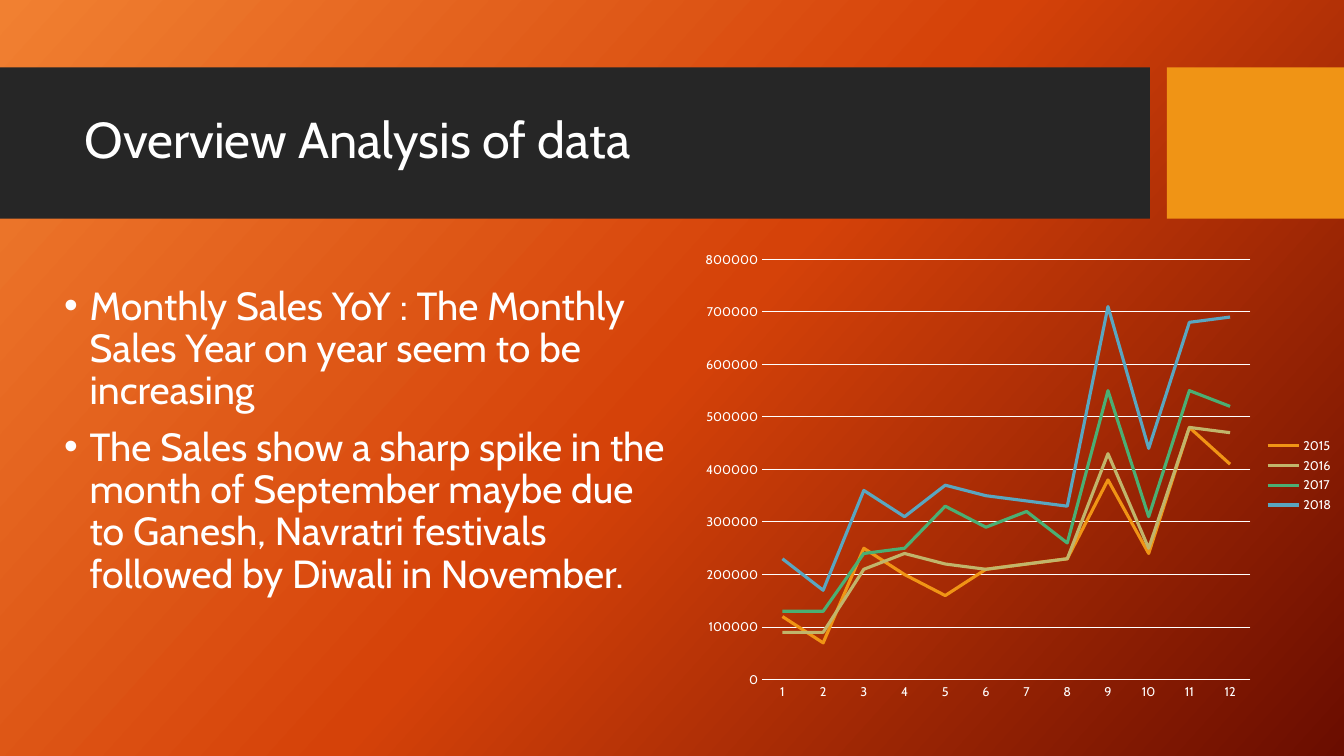
"""Build a slide on monthly sales with a title band, two bullets and a line chart."""
from copy import deepcopy

from lxml.etree import SubElement
from pptx import Presentation
from pptx.chart.data import CategoryChartData
from pptx.dml.color import RGBColor
from pptx.enum.chart import XL_CHART_TYPE, XL_LEGEND_POSITION, XL_MARKER_STYLE, XL_TICK_MARK
from pptx.enum.shapes import MSO_SHAPE
from pptx.enum.text import MSO_ANCHOR
from pptx.oxml.ns import qn
from pptx.util import Cm, Pt

FONT = "Cabin"
WHITE = RGBColor(0xFF, 0xFF, 0xFF)
DARK = RGBColor(0x26, 0x26, 0x26)
AMBER = RGBColor(0xF0, 0x94, 0x15)
SAND = RGBColor(0xC1, 0xB5, 0x6B)
GREEN = RGBColor(0x4B, 0xAF, 0x73)
BLUE = RGBColor(0x5A, 0xA6, 0xC0)
STOPS = [
    (0, RGBColor(0xF1, 0x80, 0x31)),
    (0.5, RGBColor(0xD5, 0x42, 0x09)),
    (1, RGBColor(0x6A, 0x0D, 0x00)),
]

TITLE = "Overview Analysis of data"
POINTS = [
    "Monthly Sales YoY : The Monthly Sales Year on year seem to be increasing",
    "The Sales show a sharp spike in the month of September maybe due to Ganesh, "
    "Navratri festivals followed by Diwali in November.",
]
SALES = [
    ("2015", AMBER, [120, 70, 250, 200, 160, 210, 220, 230, 380, 240, 480, 410]),
    ("2016", SAND, [90, 90, 210, 240, 220, 210, 220, 230, 430, 250, 480, 470]),
    ("2017", GREEN, [130, 130, 240, 250, 330, 290, 320, 260, 550, 310, 550, 520]),
    ("2018", BLUE, [230, 170, 360, 310, 370, 350, 340, 330, 710, 440, 680, 690]),
]
UNIT = 1000
BANDS = [(0, 28.98, DARK), (29.41, 4.46, AMBER)]
BAND_TOP, BAND_HIGH = 1.7, 3.81


def style(font, size):
    font.name, font.size, font.color.rgb = FONT, Pt(size), WHITE


def write(lines, box, size, anchor=MSO_ANCHOR.TOP, before=0, bullet=None):
    frame = slide.shapes.add_textbox(*map(Cm, box)).text_frame
    frame.word_wrap = True
    frame.vertical_anchor = anchor
    frame.text = "\n".join(lines)
    for para in frame.paragraphs:
        para.line_spacing = 0.9
        para.space_before = Pt(before)
        style(para.runs[0].font, size)
        if bullet:
            props = para._p.get_or_add_pPr()
            props.set("marL", str(Cm(0.64)))
            props.set("indent", str(-Cm(0.64)))
            SubElement(props, qn("a:buFont")).set("typeface", "Arial")
            SubElement(props, qn("a:buChar")).set("char", bullet)


def rule(line, width, color):
    line.width = Pt(width)
    line.color.rgb = color


deck = Presentation()
deck.slide_width, deck.slide_height = Cm(33.87), Cm(19.05)
slide = deck.slides.add_slide(deck.slide_layouts[6])

fill = slide.background.fill
fill.gradient()
fill.gradient_angle = 360 - 42
stops = next(slide.element.iter(qn("a:gsLst")))
stops.append(deepcopy(stops[0]))
for stop, (place, color) in zip(fill.gradient_stops, STOPS):
    stop.position = place
    stop.color.rgb = color

for left, width, color in BANDS:
    band = slide.shapes.add_shape(
        MSO_SHAPE.RECTANGLE, Cm(left), Cm(BAND_TOP), Cm(width), Cm(BAND_HIGH))
    band.shadow.inherit = False
    band.fill.solid()
    band.fill.fore_color.rgb = color
    band.line.fill.background()

write([TITLE], (1.88, 2.08, 26.7, 3), 36, anchor=MSO_ANCHOR.MIDDLE)
write(POINTS, (1.37, 7.09, 15.8, 11.73), 28, before=10, bullet="•")

data = CategoryChartData(number_format="General")
data.categories = [str(month) for month in range(1, 13)]
for year, color, sums in SALES:
    data.add_series(year, [UNIT * value for value in sums])
chart = slide.shapes.add_chart(
    XL_CHART_TYPE.LINE, Cm(17.45), Cm(6.1), Cm(16.41), Cm(11.76), data).chart
style(chart.font, 10)
chart.has_title = False
chart.has_legend = True
chart.legend.position = XL_LEGEND_POSITION.RIGHT
chart.legend.include_in_layout = False
style(chart.legend.font, 9)

for axis in (chart.category_axis, chart.value_axis):
    axis.major_tick_mark = axis.minor_tick_mark = XL_TICK_MARK.NONE
    style(axis.tick_labels.font, 9)
rule(chart.category_axis.format.line, 0.75, WHITE)
scale = chart.value_axis
scale.minimum_scale, scale.maximum_scale, scale.major_unit = 0, 800000, 100000
scale.format.line.fill.background()
rule(scale.major_gridlines.format.line, 0.75, WHITE)

chart.plots[0].vary_by_categories = False
for line, (year, color, sums) in zip(chart.plots[0].series, SALES):
    line.smooth = False
    line.marker.style = XL_MARKER_STYLE.NONE
    rule(line.format.line, 2.25, color)

deck.save("out.pptx")
